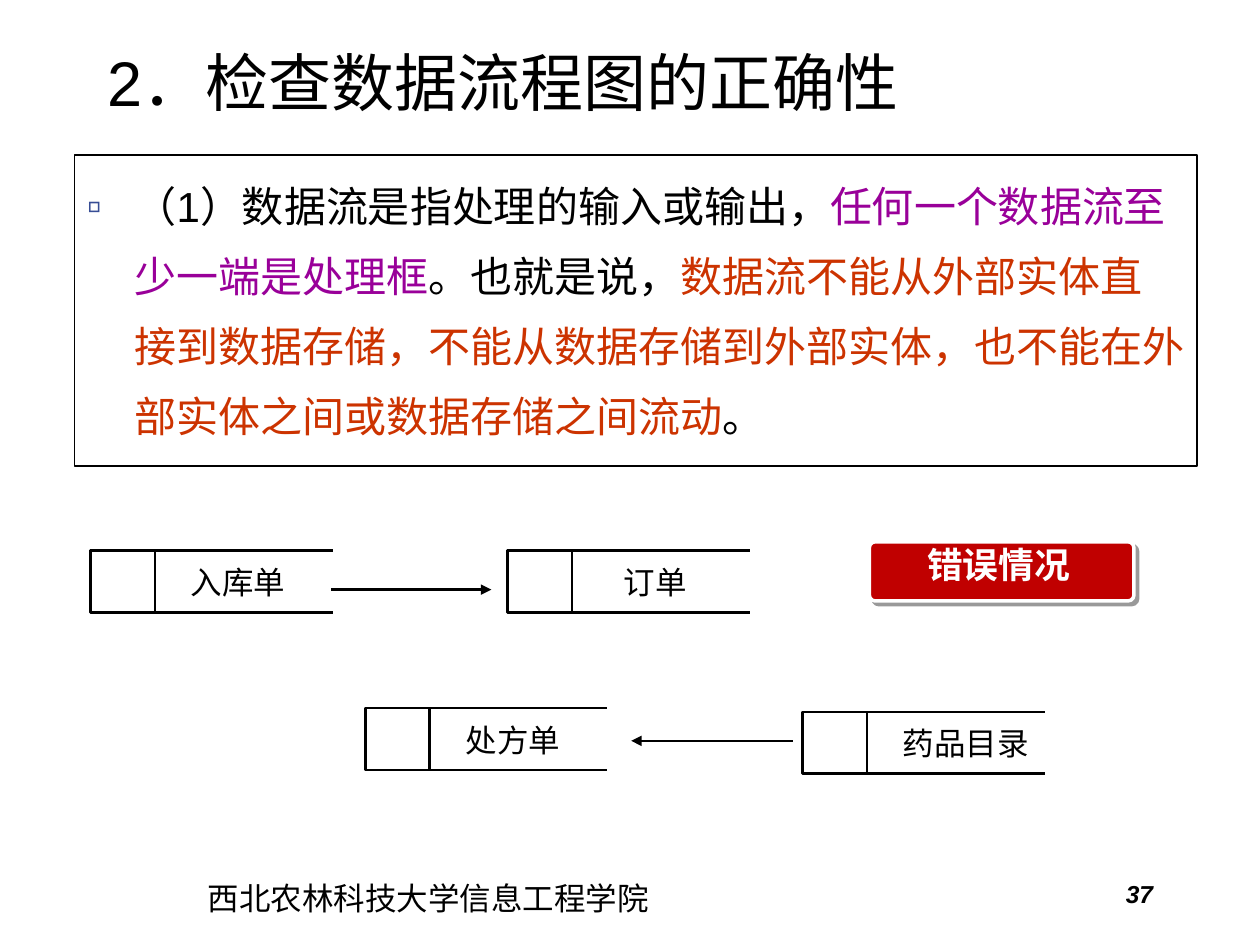
"""Build a slide about checking the correctness of data flow diagrams."""
from dataclasses import dataclass
from typing import Optional

from lxml.etree import SubElement
from pptx import Presentation
from pptx.dml.color import RGBColor
from pptx.enum.shapes import MSO_CONNECTOR, MSO_SHAPE
from pptx.enum.text import MSO_ANCHOR, PP_ALIGN
from pptx.oxml.ns import qn
from pptx.util import Inches, Pt

COLORS = {
    "black": "000000",
    "white": "FFFFFF",
    "purple": "990099",
    "orange": "CC3300",
    "bullet": "374D95",
    "badge": "C00000",
}
LATIN_FONT = "Arial"
CHINESE_FONT = "Noto Sans CJK SC"
STORE_HEIGHT = 0.49
STORE_BOX_WIDTH = 0.51
STORE_LINE_LENGTH = 1.41

BODY_RUNS = [
    ("（1）数据流是指处理的输入或输出，", "black"),
    ("任何一个数据流至少一端是处理框", "purple"),
    ("。也就是说，", "black"),
    ("数据流不能从外部实体直接到数据存储，不能从数据存储到外部实体，"
     "也不能在外部实体之间或数据存储之间流动", "orange"),
    ("。", "black"),
]


@dataclass(frozen=True)
class DataStore:
    label: str
    left: float
    top: float
    label_left: float
    label_width: float = 1.08


@dataclass(frozen=True)
class Flow:
    start: float
    end: float
    y: float


STORES = [
    DataStore("入库单", 0.72, 4.37, 1.35),
    DataStore("订单", 4.03, 4.37, 4.66),
    DataStore("处方单", 2.9, 5.62, 3.53),
    DataStore("药品目录", 6.37, 5.65, 7.01, 1.31),
]
FLOWS = [Flow(2.63, 3.9, 4.68), Flow(6.29, 5.01, 5.88)]


def rgb(name: str) -> RGBColor:
    return RGBColor.from_string(COLORS[name])


def write_text(paragraph, text: str, *, size: float, color: str = "black",
               font: str = LATIN_FONT, bold: bool = False, italic: bool = False,
               align: PP_ALIGN = PP_ALIGN.LEFT) -> None:
    paragraph.alignment = align
    run = paragraph.add_run()
    run.text = text
    run.font.size = Pt(size)
    run.font.bold = bold
    run.font.italic = italic
    run.font.color.rgb = rgb(color)
    run.font.name = font
    SubElement(run.font._element, qn("a:ea"), typeface=CHINESE_FONT)


def add_label(slide, left: float, top: float, width: float, height: float,
              text: str, **text_format):
    box = slide.shapes.add_textbox(Inches(left), Inches(top), Inches(width), Inches(height))
    box.text_frame.word_wrap = True
    paragraph = box.text_frame.paragraphs[0]
    write_text(paragraph, text, **text_format)
    return paragraph


def add_box(slide, left: float, top: float, width: float, height: float, *,
            line_width: float, line: str = "black", fill: Optional[str] = None,
            kind: MSO_SHAPE = MSO_SHAPE.RECTANGLE):
    shape = slide.shapes.add_shape(
        kind, Inches(left), Inches(top), Inches(width), Inches(height))
    shape.shadow.inherit = False
    if fill:
        shape.fill.solid()
        shape.fill.fore_color.rgb = rgb(fill)
    else:
        shape.fill.background()
    shape.line.color.rgb = rgb(line)
    shape.line.width = Pt(line_width)
    return shape


def add_line(slide, start: float, end: float, y: float, arrow: bool = False) -> None:
    connector = slide.shapes.add_connector(
        MSO_CONNECTOR.STRAIGHT, Inches(start), Inches(y), Inches(end), Inches(y))
    connector.line.color.rgb = rgb("black")
    connector.line.width = Pt(1.5)
    properties = connector._element.spPr
    if arrow:
        SubElement(properties.find(qn("a:ln")), qn("a:tailEnd"), type="triangle")
    SubElement(properties, qn("a:effectLst"))


def add_store(slide, store: DataStore) -> None:
    line_start = store.left + STORE_BOX_WIDTH
    for y in (store.top, store.top + STORE_HEIGHT):
        add_line(slide, line_start, line_start + STORE_LINE_LENGTH, y)
    add_box(slide, store.left, store.top, STORE_BOX_WIDTH, STORE_HEIGHT, line_width=1.5)
    add_label(slide, store.label_left, store.top + 0.05, store.label_width, 0.4,
              store.label, size=18, font=CHINESE_FONT, align=PP_ALIGN.CENTER)


def add_title(slide) -> None:
    title = slide.shapes.title
    title.left, title.top = Inches(0.75), Inches(0.3)
    title.width, title.height = Inches(8.75), Inches(0.69)
    title.text_frame.vertical_anchor = MSO_ANCHOR.MIDDLE
    write_text(title.text_frame.paragraphs[0], "2．检查数据流程图的正确性", size=36)


def add_body(slide) -> None:
    frame = add_box(slide, 0.59, 1.23, 8.91, 2.47, line_width=0.75).text_frame
    frame.word_wrap = True
    frame.vertical_anchor = MSO_ANCHOR.TOP
    paragraph = frame.paragraphs[0]
    paragraph.line_spacing = Pt(40)
    for text, color in BODY_RUNS:
        write_text(paragraph, text, size=24, color=color)
    properties = paragraph._p.get_or_add_pPr()
    properties.set("marL", str(Inches(0.38)))
    properties.set("indent", str(-Inches(0.38)))
    bullet_color = SubElement(properties, qn("a:buClr"))
    SubElement(bullet_color, qn("a:srgbClr"), val=COLORS["bullet"])
    SubElement(properties, qn("a:buFont"), typeface=LATIN_FONT)
    SubElement(properties, qn("a:buChar"), char="▫")


def add_badge(slide) -> None:
    badge = add_box(slide, 6.9, 4.3, 2.1, 0.47, line_width=2, line="white",
                    fill="badge", kind=MSO_SHAPE.ROUNDED_RECTANGLE)
    badge.adjustments[0] = 0.1
    effects = badge._element.spPr.find(qn("a:effectLst"))
    shadow = SubElement(effects, qn("a:outerShdw"), blurRad="0", dist=str(Pt(3)),
                        dir="2700000", algn="ctr", rotWithShape="0")
    shadow_color = SubElement(shadow, qn("a:srgbClr"), val=COLORS["black"])
    SubElement(shadow_color, qn("a:alpha"), val="40000")
    paragraph = add_label(slide, 6.93, 4.35, 1.99, 0.36, "错误情况", size=20.4,
                          color="white", font=CHINESE_FONT, bold=True,
                          align=PP_ALIGN.CENTER)
    paragraph.line_spacing = 0.7
    paragraph.space_before = Pt(7.1)


def main() -> None:
    presentation = Presentation()
    presentation.slide_width = Inches(10)
    presentation.slide_height = Inches(7.5)
    slide = presentation.slides.add_slide(presentation.slide_layouts[5])
    add_label(slide, 1.55, 6.93, 6.61, 0.52, "西北农林科技大学信息工程学院", size=18)
    add_label(slide, 6.92, 6.93, 2.33, 0.52, "37", size=14, bold=True, italic=True,
              align=PP_ALIGN.RIGHT)
    add_title(slide)
    add_body(slide)
    for store in STORES:
        add_store(slide, store)
    for flow in FLOWS:
        add_line(slide, flow.start, flow.end, flow.y, arrow=True)
    add_badge(slide)
    presentation.save("out.pptx")


if __name__ == "__main__":
    main()
